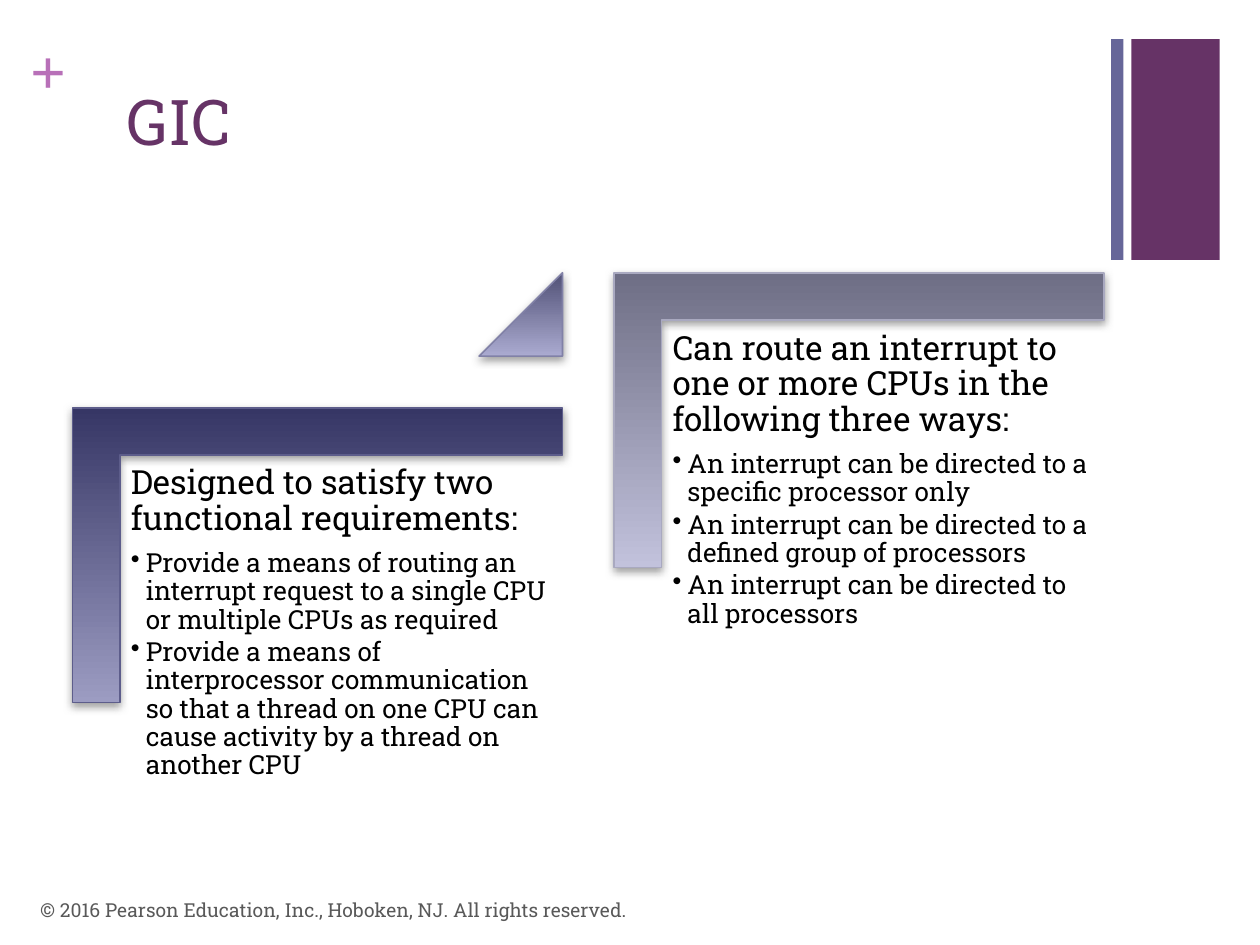
from dataclasses import dataclass

from lxml import etree
from pptx import Presentation
from pptx.dml.color import RGBColor
from pptx.enum import shapes, text
from pptx.oxml import parse_xml
from pptx.oxml.ns import nsdecls, qn
from pptx.util import Cm, Pt


@dataclass(frozen=True)
class Theme:
    font: str = "Roboto Slab"
    symbol_font: str = "Times New Roman"
    plum: str = "663366"
    slate: str = "666699"
    orchid: str = "B870B8"
    body: str = "000000"
    muted: str = "595959"
    shadow: str = "808080"
    title_size: int = 36
    heading_size: int = 19
    bullet_size: int = 15
    footer_size: int = 11
    # Each shade: gradient top, gradient bottom, outline
    navy: tuple = ("363665", "9C9CC2", "5D5D8B")
    violet: tuple = ("515176", "AAAAD0", "8181A7")
    grey: tuple = ("6E6E85", "C2C2DC", "A9A9C0")


THEME = Theme()


def add_text(slide, box, paragraphs, inset=(0.25, 0.13), anchor=text.MSO_ANCHOR.TOP):
    """Add a text box; each paragraph is a (string, format keywords) pair."""
    shape = slide.shapes.add_textbox(*map(Cm, box))
    frame = shape.text_frame
    frame.word_wrap = True
    frame.vertical_anchor = anchor
    frame.margin_left = frame.margin_right = Cm(inset[0])
    frame.margin_top = frame.margin_bottom = Cm(inset[1])
    for index, (string, style) in enumerate(paragraphs):
        paragraph = frame.paragraphs[0] if index == 0 else frame.add_paragraph()
        format_paragraph(paragraph, string, **style)


def format_paragraph(paragraph, string, size, color=THEME.body, font=THEME.font,
                     bold=False, bullet=False, line_spacing=None, after=0):
    if bullet:
        properties = paragraph._p.get_or_add_pPr()
        properties.set("marL", str(Cm(0.3)))
        properties.set("indent", str(-Cm(0.3)))
        etree.SubElement(properties, qn("a:buChar"), char="•")
    if line_spacing:
        paragraph.line_spacing = line_spacing
    paragraph.space_after = Pt(after)
    run = paragraph.add_run()
    run.text = string
    run.font.name = font
    run.font.size = Pt(size)
    run.font.bold = bold
    run.font.color.rgb = RGBColor.from_string(color)


def add_bar(slide, box, color):
    bar = slide.shapes.add_shape(shapes.MSO_SHAPE.RECTANGLE, *map(Cm, box))
    bar.shadow.inherit = False
    bar.fill.solid()
    bar.fill.fore_color.rgb = RGBColor.from_string(color)
    bar.line.fill.background()


def add_shaded(slide, kind, box, shade, adjustments, rotation=0):
    """Add a shape with a vertical gradient, an outline and a soft shadow."""
    top_color, bottom_color, outline = shade
    shape = slide.shapes.add_shape(kind, *map(Cm, box))
    shape.rotation = rotation
    for index, value in enumerate(adjustments):
        shape.adjustments[index] = value
    shape.line.color.rgb = RGBColor.from_string(outline)
    shape.line.width = Pt(1)
    properties = shape._element.spPr
    gradient = parse_xml(
        f'<a:gradFill {nsdecls("a")} rotWithShape="0"><a:gsLst>'
        f'<a:gs pos="0"><a:srgbClr val="{top_color}"/></a:gs>'
        f'<a:gs pos="100000"><a:srgbClr val="{bottom_color}"/></a:gs>'
        '</a:gsLst><a:lin ang="5400000" scaled="0"/></a:gradFill>')
    properties.find(qn("a:prstGeom")).addnext(gradient)
    properties.append(parse_xml(
        f'<a:effectLst {nsdecls("a")}><a:outerShdw blurRad="{Pt(5)}" dist="{Pt(2)}" '
        f'dir="5400000" rotWithShape="0"><a:srgbClr val="{THEME.shadow}">'
        '<a:alpha val="75000"/></a:srgbClr></a:outerShdw></a:effectLst>'))


def add_header(slide, left, top):
    """Plus sign, title and the two bars at the right."""
    add_text(slide, (left, top, 0.74, 1.55),
             [("+", dict(size=THEME.title_size, color=THEME.orchid,
                         font=THEME.symbol_font, bold=True))], inset=(0, 0))
    add_text(slide, (left + 1.7, top + 0.89, 20.98, 3.1),
             [("GIC", dict(size=THEME.title_size, color=THEME.plum))])
    add_bar(slide, (left + 21.79, top + 0.15, 0.25, 4.45), THEME.slate)
    add_bar(slide, (left + 22.2, top + 0.15, 1.78, 4.45), THEME.plum)


def add_step(slide, left, top, width, height, shade, heading, bullets):
    """Corner bracket with a heading and bullets inside it."""
    # The corner preset is turned a quarter, so its own sides are swapped
    turn = (width - height) / 2
    add_shaded(slide, shapes.MSO_SHAPE.CORNER,
               (left + turn, top - turn, height, width), shade,
               (0.161, 0.161), rotation=90)
    heading_style = dict(size=THEME.heading_size, line_spacing=0.9, after=6.65)
    bullet_style = dict(size=THEME.bullet_size, line_spacing=0.9, after=2.25, bullet=True)
    add_text(slide, (left + 0.98, top + 0.98, width - 0.96, 7.82),
             [(heading, heading_style)] + [(item, bullet_style) for item in bullets],
             inset=(0.2, 0.2))


def add_steps(slide, left, top):
    """Two brackets rising to the right, with a triangle between the levels."""
    width, height, pitch, rise, side = 9.88, 5.94, 10.92, 2.72, 1.68
    add_step(slide, left, top + rise, width, height, THEME.navy,
             "Designed to satisfy two functional requirements:",
             ["Provide a means of routing an interrupt request to a single CPU "
              "or multiple CPUs as required",
              "Provide a means of interprocessor communication so that a thread "
              "on one CPU can cause activity by a thread on another CPU"])
    add_shaded(slide, shapes.MSO_SHAPE.ISOSCELES_TRIANGLE,
               (left + width - side, top, side, side), THEME.violet, (1,))
    add_step(slide, left + pitch, top, width, height, THEME.grey,
             "Can route an interrupt to one or more CPUs in the following three ways:",
             [f"An interrupt can be directed to {target}" for target in (
                 "a specific processor only",
                 "a defined group of processors",
                 "all processors")])


def add_footer(slide, left, top, width, height):
    add_text(slide, (left, top, width, height),
             [("© 2016 Pearson Education, Inc., Hoboken, NJ. All rights reserved.",
               dict(size=THEME.footer_size, color=THEME.muted))],
             anchor=text.MSO_ANCHOR.MIDDLE)


def main():
    presentation = Presentation()
    presentation.slide_width = Cm(25.4)
    presentation.slide_height = Cm(19.05)
    slide = presentation.slides.add_slide(presentation.slide_layouts[6])
    add_header(slide, 0.61, 0.64)
    add_steps(slide, 1.46, 5.5)
    add_footer(slide, 0.56, 17.83, 17.02, 1.02)
    presentation.save("out.pptx")


if __name__ == "__main__":
    main()
